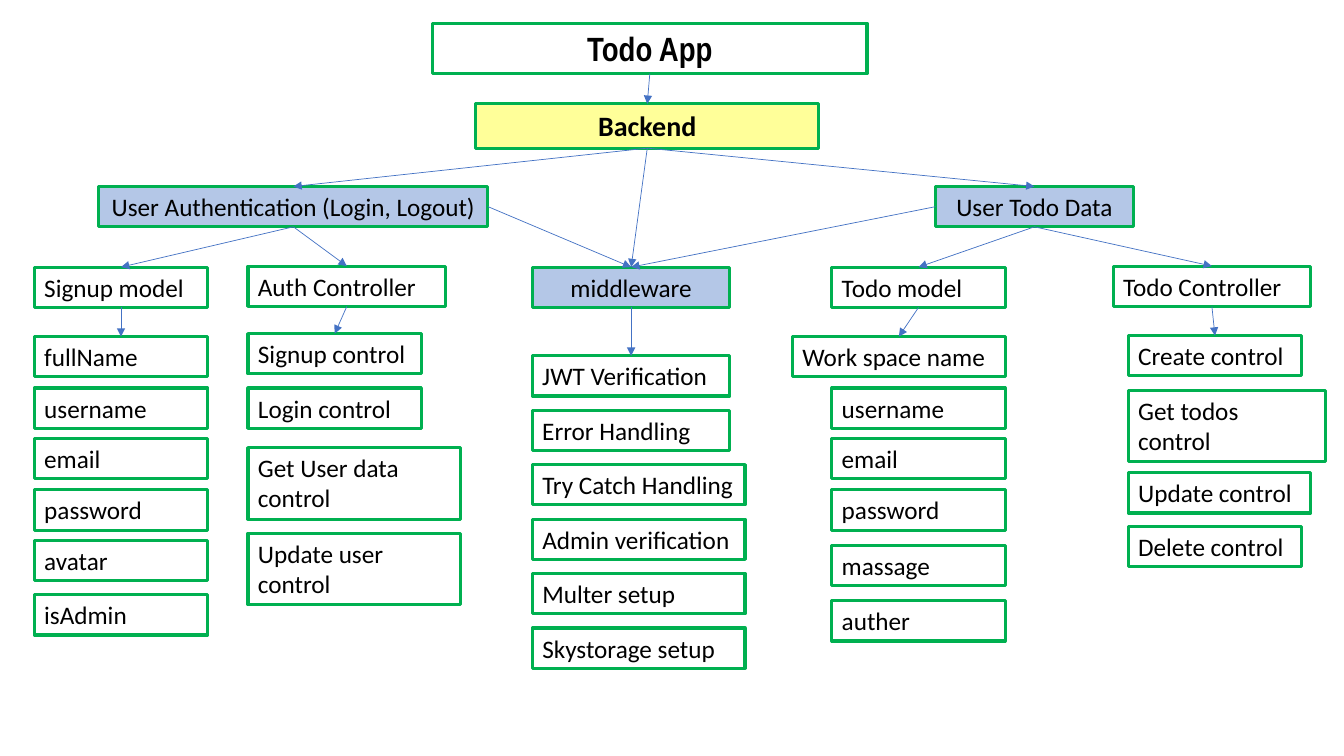
import pptx
import pptx.dml.color
import pptx.enum.shapes
import pptx.enum.text
import pptx.oxml.ns
import pptx.util
from lxml import etree
from pptx.util import Inches

COLORS = {
    "border": "00B050",
    "arrow": "4472C4",
    "text": "000000",
    "yellow": "FFFF99",
    "blue": "B4C7E7",
}
TOP, LEFT, BOTTOM, RIGHT = range(4)  # connection sites of a rectangle
SHORT, MEDIUM, LONG = 1.72, 1.96, 2.11  # box widths
ONE_LINE, TWO_LINES = 0.4, 0.71  # box heights


def rgb(name):
    return pptx.dml.color.RGBColor.from_string(COLORS[name])


def add_box(label, left, top, width, height=ONE_LINE, fill=None, centered=False, **font):
    """Add a green-bordered text box; font overrides the 18 pt Calibri default."""
    box = page.shapes.add_textbox(Inches(left), Inches(top), Inches(width), Inches(height))
    box.line.color.rgb = rgb("border")
    box.line.width = pptx.util.Pt(2.25)
    if fill:
        box.fill.solid()
        box.fill.fore_color.rgb = rgb(fill)
    box.text_frame.word_wrap = True
    box.text_frame.auto_size = pptx.enum.text.MSO_AUTO_SIZE.SHAPE_TO_FIT_TEXT
    para = box.text_frame.paragraphs[0]
    if centered:
        para.alignment = pptx.enum.text.PP_ALIGN.CENTER
    span = para.add_run()
    span.text = label
    span.font.color.rgb = rgb("text")
    text_format = {"name": "Calibri", "size": pptx.util.Pt(18), **font}
    for attribute, value in text_format.items():
        setattr(span.font, attribute, value)
    return box


deck = pptx.Presentation()
deck.slide_width, deck.slide_height = Inches(13.33), Inches(7.5)
page = deck.slides.add_slide(deck.slide_layouts[6])

# Upper levels of the tree
boxes = {
    "Todo App": add_box("Todo App", 4.29, 0.23, 4.31, 0.5, centered=True,
                        name="Arial Narrow", size=pptx.util.Pt(24), bold=True),
    "Backend": add_box("Backend", 4.72, 1.03, 3.4, 0.44, "yellow", True,
                       size=pptx.util.Pt(20), bold=True),
}
for label, left, top, width in [
    ("User Authentication (Login, Logout)", 0.98, 1.85, 3.86),
    ("User Todo Data", 9.28, 1.85, MEDIUM),
    ("middleware", 5.28, 2.65, MEDIUM),
]:
    boxes[label] = add_box(label, left, top, width, fill="blue", centered=True)

# Columns: left edge, then label, top, width and height of each box
columns = [
    (0.34, [
        ("Signup model", 2.65, SHORT, ONE_LINE),
        ("fullName", 3.34, SHORT, ONE_LINE),
        ("username", 3.85, SHORT, ONE_LINE),
        ("email", 4.35, SHORT, ONE_LINE),
        ("password", 4.86, SHORT, ONE_LINE),
        ("avatar", 5.36, SHORT, ONE_LINE),
        ("isAdmin", 5.9, SHORT, ONE_LINE),
    ]),
    (2.46, [
        ("Auth Controller", 2.64, MEDIUM, ONE_LINE),
        ("Signup control", 3.31, SHORT, ONE_LINE),
        ("Login control", 3.85, SHORT, ONE_LINE),
        ("Get User data control", 4.44, LONG, TWO_LINES),
        ("Update user control", 5.29, LONG, TWO_LINES),
    ]),
    (7.86, [("Work space name", 3.34, LONG, ONE_LINE)]),
    (8.25, [
        ("Todo model", 2.65, SHORT, ONE_LINE),
        ("username", 3.85, SHORT, ONE_LINE),
        ("email", 4.35, SHORT, ONE_LINE),
        ("password", 4.86, SHORT, ONE_LINE),
        ("massage", 5.41, SHORT, ONE_LINE),
        ("auther", 5.96, SHORT, ONE_LINE),
    ]),
    (11.04, [("Todo Controller", 2.64, MEDIUM, ONE_LINE)]),
    (11.19, [
        ("Create control", 3.33, SHORT, ONE_LINE),
        ("Get todos control", 3.87, MEDIUM, TWO_LINES),
        ("Update control", 4.69, 1.81, ONE_LINE),
        ("Delete control", 5.22, SHORT, ONE_LINE),
    ]),
]
for left, entries in columns:
    for label, top, width, height in entries:
        boxes[label] = add_box(label, left, top, width, height)

middleware_parts = [
    ("JWT Verification", MEDIUM),
    ("Error Handling", MEDIUM),
    ("Try Catch Handling", LONG),
    ("Admin verification", LONG),
    ("Multer setup", LONG),
    ("Skystorage setup", LONG),
]
for row, (label, width) in enumerate(middleware_parts):
    boxes[label] = add_box(label, 5.28, 3.53 + 0.54 * row, width)

# Arrows: each ends at the top of its target
links = [
    ("Todo App", BOTTOM, "Backend"),
    ("Backend", BOTTOM, "User Authentication (Login, Logout)"),
    ("Backend", BOTTOM, "User Todo Data"),
    ("Backend", BOTTOM, "middleware"),
    ("User Authentication (Login, Logout)", BOTTOM, "Signup model"),
    ("User Authentication (Login, Logout)", BOTTOM, "Auth Controller"),
    ("User Authentication (Login, Logout)", RIGHT, "middleware"),
    ("User Todo Data", LEFT, "middleware"),
    ("User Todo Data", BOTTOM, "Todo model"),
    ("User Todo Data", BOTTOM, "Todo Controller"),
    ("Signup model", BOTTOM, "fullName"),
    ("Auth Controller", BOTTOM, "Signup control"),
    ("middleware", BOTTOM, "JWT Verification"),
    ("Todo model", BOTTOM, "Work space name"),
    ("Todo Controller", BOTTOM, "Create control"),
]
for source, site, target in links:
    arrow = page.shapes.add_connector(pptx.enum.shapes.MSO_CONNECTOR.STRAIGHT, 0, 0, 0, 0)
    arrow.begin_connect(boxes[source], site)
    arrow.end_connect(boxes[target], TOP)
    arrow.line.color.rgb = rgb("arrow")
    arrow.line.width = pptx.util.Pt(0.5)
    properties = arrow._element.spPr
    outline = properties.find(pptx.oxml.ns.qn("a:ln"))
    etree.SubElement(outline, pptx.oxml.ns.qn("a:tailEnd"), type="triangle")
    etree.SubElement(properties, pptx.oxml.ns.qn("a:effectLst"))

deck.save("out.pptx")
